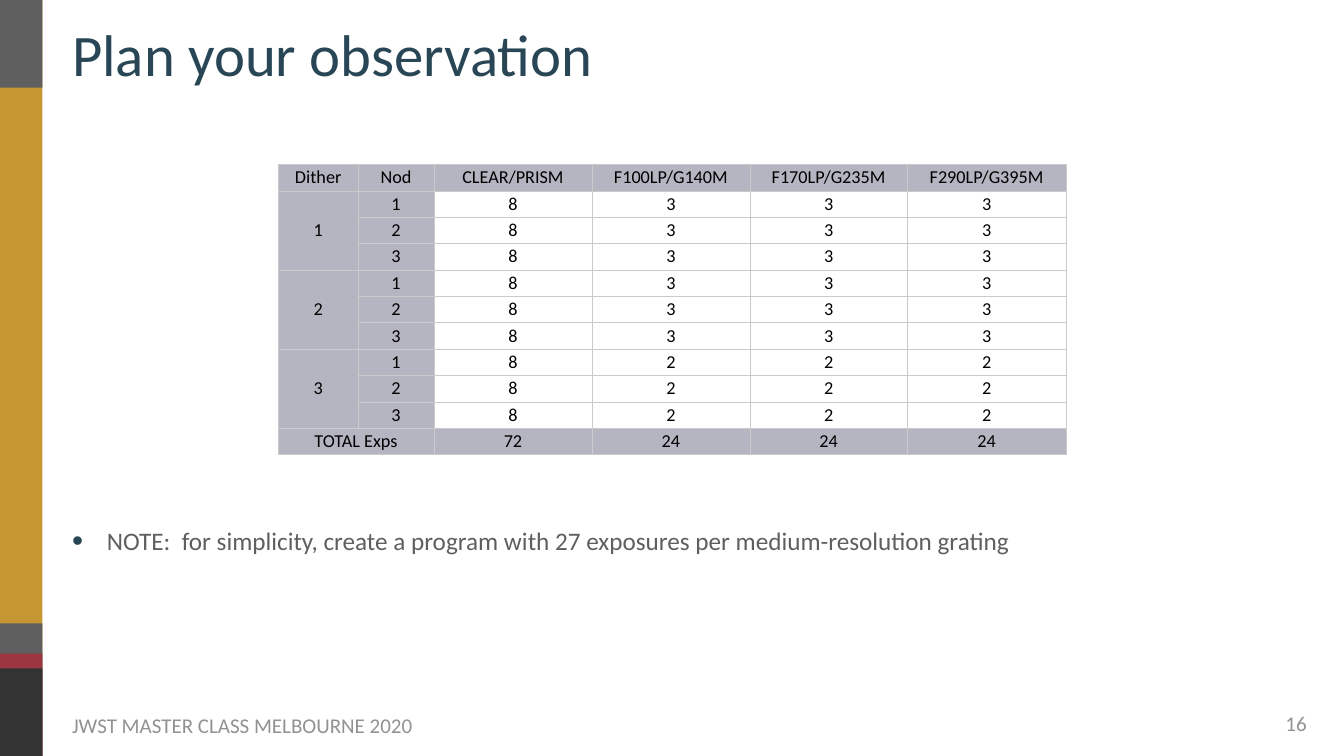
from lxml import etree
from pptx import Presentation
from pptx.dml.color import RGBColor
from pptx.enum.shapes import MSO_SHAPE
from pptx.enum.text import MSO_ANCHOR, MSO_AUTO_SIZE, PP_ALIGN
from pptx.oxml import parse_xml
from pptx.oxml.ns import nsdecls, qn
from pptx.util import Inches, Pt

RECT = MSO_SHAPE.RECTANGLE
TOP, MIDDLE = MSO_ANCHOR.TOP, MSO_ANCHOR.MIDDLE
LEFT, CENTER = PP_ALIGN.LEFT, PP_ALIGN.CENTER
FIXED = MSO_AUTO_SIZE.NONE

GOLD = RGBColor(0xC4, 0x97, 0x32)
GRAY = RGBColor(0x5F, 0x5F, 0x5F)
RED = RGBColor(0x9C, 0x37, 0x42)
DARK = RGBColor(0x33, 0x33, 0x33)
NAVY = RGBColor(0x28, 0x46, 0x55)
PALE = RGBColor(0x92, 0x92, 0x92)
LILAC = RGBColor(0xB5, 0xB5, 0xC1)
RULE = RGBColor(0xCB, 0xCB, 0xCB)
WHITE = RGBColor(0xFF, 0xFF, 0xFF)
BLACK = RGBColor(0, 0, 0)


class Deck:
    """Holds the text style and the current slide."""

    font = "Calibri"
    pad = Inches(0.06)

    def __init__(self, slide):
        self.slide = slide
        self.shapes = slide.shapes

    def label(self, frame, text, size, color, align=LEFT):
        frame.text = text
        para = frame.paragraphs[0]
        para.alignment = align
        font = para.runs[0].font
        font.name, font.size, font.color.rgb = self.font, Pt(size), color
        return para

    def fit(self, frame, anchor, wrap):
        frame.margin_left = frame.margin_right = self.pad
        frame.margin_top = frame.margin_bottom = self.pad
        frame.auto_size = FIXED
        frame.vertical_anchor = anchor
        frame.word_wrap = wrap

    def band(self, top, height, color):
        shape = self.shapes.add_shape(
            RECT, Inches(-0.01), Inches(top), Inches(0.85), Inches(height))
        shape.shadow.inherit = False
        shape.fill.solid()
        shape.fill.fore_color.rgb = color
        shape.line.fill.background()

    def title(self, text, box):
        shape = self.shapes.title
        shape.left, shape.top, shape.width, shape.height = map(Inches, box)
        self.fit(shape.text_frame, MIDDLE, True)
        self.label(shape.text_frame, text, 84, NAVY)

    def text(self, text, box, size, color, align=LEFT, anchor=TOP, wrap=False):
        frame = self.shapes.add_textbox(*map(Inches, box)).text_frame
        self.fit(frame, anchor, wrap)
        return self.label(frame, text, size, color, align)

    def bullet(self, text, box):
        para = self.text(text, box, 36, GRAY, wrap=True)
        para.space_before = Pt(10)
        props = para._p.get_or_add_pPr()
        props.set("marL", str(Inches(0.69)))
        props.set("indent", str(Inches(-0.69)))
        color = etree.SubElement(props, qn("a:buClr"))
        etree.SubElement(color, qn("a:srgbClr"), val=str(NAVY))
        etree.SubElement(props, qn("a:buSzPct"), val="125000")
        etree.SubElement(props, qn("a:buFont"), typeface="Arial")
        etree.SubElement(props, qn("a:buChar"), char="•")

    def cell(self, cell, text, fill):
        cell.margin_left = cell.margin_right = Inches(0.07)
        cell.margin_top = cell.margin_bottom = 0
        cell.vertical_anchor = MIDDLE
        if text:
            self.label(cell.text_frame, text, 26, BLACK, CENTER)
        props = cell._tc.get_or_add_tcPr()
        for side in ("lnL", "lnR", "lnT", "lnB"):
            props.append(parse_xml(
                f'<a:{side} {nsdecls("a")} w="{Pt(0.5)}"><a:solidFill>'
                f'<a:srgbClr val="{RULE}"/></a:solidFill></a:{side}>'))
        cell.fill.solid()
        cell.fill.fore_color.rgb = fill

    def table(self, rows, left, top, widths, height, spans):
        table = self.shapes.add_table(
            len(rows), len(widths), Inches(left), Inches(top),
            Inches(sum(widths)), Inches(height * len(rows))).table
        for col, width in zip(table.columns, widths):
            col.width = Inches(width)
        last = len(rows) - 1
        for r, row in enumerate(rows):
            table.rows[r].height = Inches(height)
            for c, text in enumerate(row):
                shade = r in (0, last) or c < 2
                self.cell(table.cell(r, c), text, LILAC if shade else WHITE)
        for start, end in spans:
            table.cell(*start).merge(table.cell(*end))


def main():
    deck = Presentation()
    deck.slide_width, deck.slide_height = Inches(26.67), Inches(15)
    page = Deck(deck.slides.add_slide(deck.slide_layouts[5]))

    bands = [(0, 15, GOLD), (12.37, 2.63, GRAY), (12.97, 2.03, RED),
             (13.26, 1.74, DARK), (0, 1.74, GRAY)]
    for top, height, color in bands:
        page.band(top, height, color)

    page.text("JWST MASTER CLASS MELBOURNE 2020", (1.37, 14.07, 8.36, 0.62),
              30, PALE, anchor=MIDDLE)
    page.text("16", (25.41, 14.04, 0.62, 0.68), 30, PALE, CENTER)
    page.bullet("NOTE:  for simplicity, create a program with 27 exposures "
                "per medium-resolution grating", (1.37, 10.36, 21.12, 1.95))
    page.title("Plan your observation", (1.37, 0.19, 21.12, 1.74))

    rows = [["Dither", "Nod", "CLEAR/PRISM", "F100LP/G140M",
             "F170LP/G235M", "F290LP/G395M"]]
    for dither, count in (("1", "3"), ("2", "3"), ("3", "2")):
        for nod in ("1", "2", "3"):
            head = dither if nod == "1" else ""
            rows.append([head, nod, "8"] + [count] * 3)
    rows.append(["TOTAL Exps", "", "72"] + ["24"] * 3)
    spans = [((r, 0), (r + 2, 0)) for r in (1, 4, 7)] + [((10, 0), (10, 1))]
    page.table(rows, 5.52, 3.26, [1.59, 1.5, 3.14, 3.13, 3.13, 3.14],
               5.76 / len(rows), spans)

    deck.save("out.pptx")


if __name__ == "__main__":
    main()
